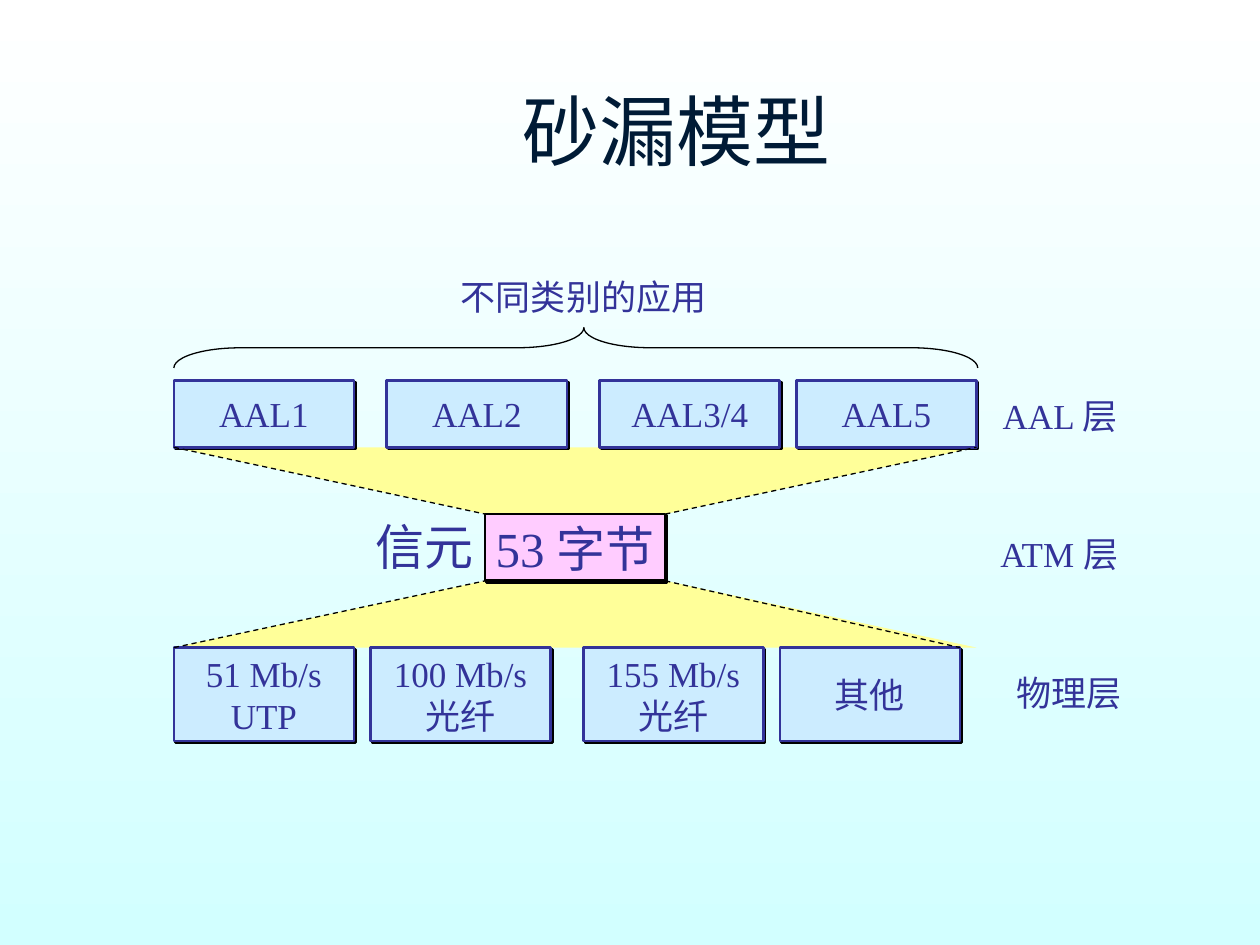
from lxml import etree
from pptx import Presentation
from pptx.dml.color import RGBColor
from pptx.enum import dml, shapes, text
from pptx.oxml import ns
from pptx.util import Inches, Pt

WHITE = RGBColor(0xFF, 0xFF, 0xFF)
PALE_CYAN = RGBColor(0xD2, 0xFF, 0xFF)
NAVY = RGBColor(0x00, 0x1B, 0x36)
INDIGO = RGBColor(0x33, 0x33, 0x99)
LIGHT_BLUE = RGBColor(0xCC, 0xEC, 0xFF)
PINK = RGBColor(0xFF, 0xCC, 0xFF)
YELLOW = RGBColor(0xFF, 0xFF, 0x99)
BLACK = RGBColor(0, 0, 0)

BOX_WIDTH = 1.43
LEFT, RIGHT = 1.38, 7.75
CELL_LEFT, CELL_TOP, CELL_BOTTOM = 3.85, 4.08, 4.61
CELL_RIGHT = CELL_LEFT + BOX_WIDTH
AAL_TOP, AAL_BOTTOM = 3.02, 3.55
PHYSICAL_TOP, PHYSICAL_RIGHT = 5.14, 7.62

AAL_BOXES = [(1.38, "AAL1"), (3.07, "AAL2"), (4.76, "AAL3/4"), (6.32, "AAL5")]
PHYSICAL_BOXES = [
    (1.38, "51 Mb/s\nUTP"),
    (2.94, "100 Mb/s\n光纤"),
    (4.63, "155 Mb/s\n光纤"),
    (6.19, "其他"),
]
LABELS = [
    (3.56, 2.14, 2.17, 0.44, "不同类别的应用", 20),
    (7.86, 3.08, 1.2, 0.44, "AAL 层", 20),
    (7.84, 4.18, 1.25, 0.44, "ATM 层", 20),
    (7.97, 5.28, 1.06, 0.44, "物理层", 20),
    (2.88, 4.05, 1, 0.57, "信元", 28),
]
DASHED_LINES = [
    (LEFT, AAL_BOTTOM, CELL_LEFT, CELL_TOP),
    (LEFT, PHYSICAL_TOP, CELL_LEFT, CELL_BOTTOM),
    (CELL_RIGHT, CELL_BOTTOM, PHYSICAL_RIGHT, PHYSICAL_TOP),
    (CELL_RIGHT, CELL_TOP, RIGHT, AAL_BOTTOM),
]


def set_background(slide):
    fill = slide.background.fill
    fill.gradient()
    fill.gradient_angle = 270
    for stop, color, position in zip(fill.gradient_stops, (WHITE, PALE_CYAN), (0, 1)):
        stop.color.rgb = color
        stop.position = position


def write(frame, content, size, color=INDIGO, font="Times New Roman", align=None):
    frame.text = content
    for paragraph in frame.paragraphs:
        paragraph.alignment = align
        paragraph.font.size = Pt(size)
        paragraph.font.name = font
        paragraph.font.color.rgb = color


def add_title(slide, content):
    title = slide.shapes.title
    title.left, title.top = Inches(1), Inches(0.23)
    title.width, title.height = Inches(8.88), Inches(1.6)
    title.text_frame.vertical_anchor = text.MSO_ANCHOR.MIDDLE
    write(title.text_frame, content, 44, NAVY, "Arial", text.PP_ALIGN.CENTER)


def add_hard_shadow(shape):
    effects = shape._element.spPr.find(ns.qn("a:effectLst"))
    shadow = etree.SubElement(effects, ns.qn("a:outerShdw"), blurRad="0",
                              dist=str(Pt(1.4)), dir="2700000", algn="ctr", rotWithShape="0")
    etree.SubElement(shadow, ns.qn("a:srgbClr"), val=str(BLACK))


def add_box(slide, left, top, height, content, size=20, fill=LIGHT_BLUE, line=INDIGO):
    box = slide.shapes.add_shape(shapes.MSO_SHAPE.RECTANGLE, Inches(left), Inches(top),
                                 Inches(BOX_WIDTH), Inches(height))
    box.shadow.inherit = False
    add_hard_shadow(box)
    box.fill.solid()
    box.fill.fore_color.rgb = fill
    box.line.color.rgb = line
    box.line.width = Pt(1.5)
    box.text_frame.word_wrap = False
    box.text_frame.vertical_anchor = text.MSO_ANCHOR.MIDDLE
    write(box.text_frame, content, size, align=text.PP_ALIGN.CENTER)


def add_label(slide, left, top, width, height, content, size):
    label = slide.shapes.add_textbox(Inches(left), Inches(top), Inches(width), Inches(height))
    label.text_frame.word_wrap = False
    label.text_frame.auto_size = text.MSO_AUTO_SIZE.SHAPE_TO_FIT_TEXT
    write(label.text_frame, content, size, align=text.PP_ALIGN.LEFT)


def add_funnel(slide, wide_edge, narrow_edge):
    builder = slide.shapes.build_freeform(Inches(LEFT), Inches(wide_edge))
    corners = [(CELL_LEFT, narrow_edge), (CELL_RIGHT, narrow_edge), (RIGHT, wide_edge)]
    builder.add_line_segments([(Inches(x), Inches(y)) for x, y in corners], close=True)
    funnel = builder.convert_to_shape()
    funnel.shadow.inherit = False
    funnel.fill.solid()
    funnel.fill.fore_color.rgb = YELLOW
    funnel.line.fill.background()


def add_dashed_line(slide, *ends):
    line = slide.shapes.add_connector(shapes.MSO_CONNECTOR.STRAIGHT, *map(Inches, ends))
    line.line.color.rgb = BLACK
    line.line.width = Pt(0.75)
    line.line.dash_style = dml.MSO_LINE.DASH
    etree.SubElement(line._element.spPr, ns.qn("a:effectLst"))


def add_brace(slide):
    brace = slide.shapes.add_shape(shapes.MSO_SHAPE.LEFT_BRACE, Inches(4.41), Inches(-0.43),
                                   Inches(0.32), Inches(6.38))
    brace.rotation = 90
    brace.adjustments[0] = 1.65
    brace.adjustments[1] = 0.49
    brace.shadow.inherit = False
    brace.fill.background()
    brace.line.color.rgb = BLACK
    brace.line.width = Pt(0.75)


def main():
    presentation = Presentation()
    presentation.slide_width, presentation.slide_height = Inches(10), Inches(7.5)
    slide = presentation.slides.add_slide(presentation.slide_layouts[5])
    set_background(slide)
    add_title(slide, "砂漏模型 ")
    add_funnel(slide, PHYSICAL_TOP, CELL_BOTTOM)
    add_funnel(slide, AAL_BOTTOM, CELL_TOP)
    for left, content in AAL_BOXES:
        add_box(slide, left, AAL_TOP, AAL_BOTTOM - AAL_TOP, content)
    add_box(slide, CELL_LEFT, CELL_TOP, CELL_BOTTOM - CELL_TOP, "53 字节", 28, PINK, BLACK)
    for left, content in PHYSICAL_BOXES:
        add_box(slide, left, PHYSICAL_TOP, 0.74, content)
    for ends in DASHED_LINES:
        add_dashed_line(slide, *ends)
    for label in LABELS:
        add_label(slide, *label)
    add_brace(slide)
    presentation.save("out.pptx")


if __name__ == "__main__":
    main()
